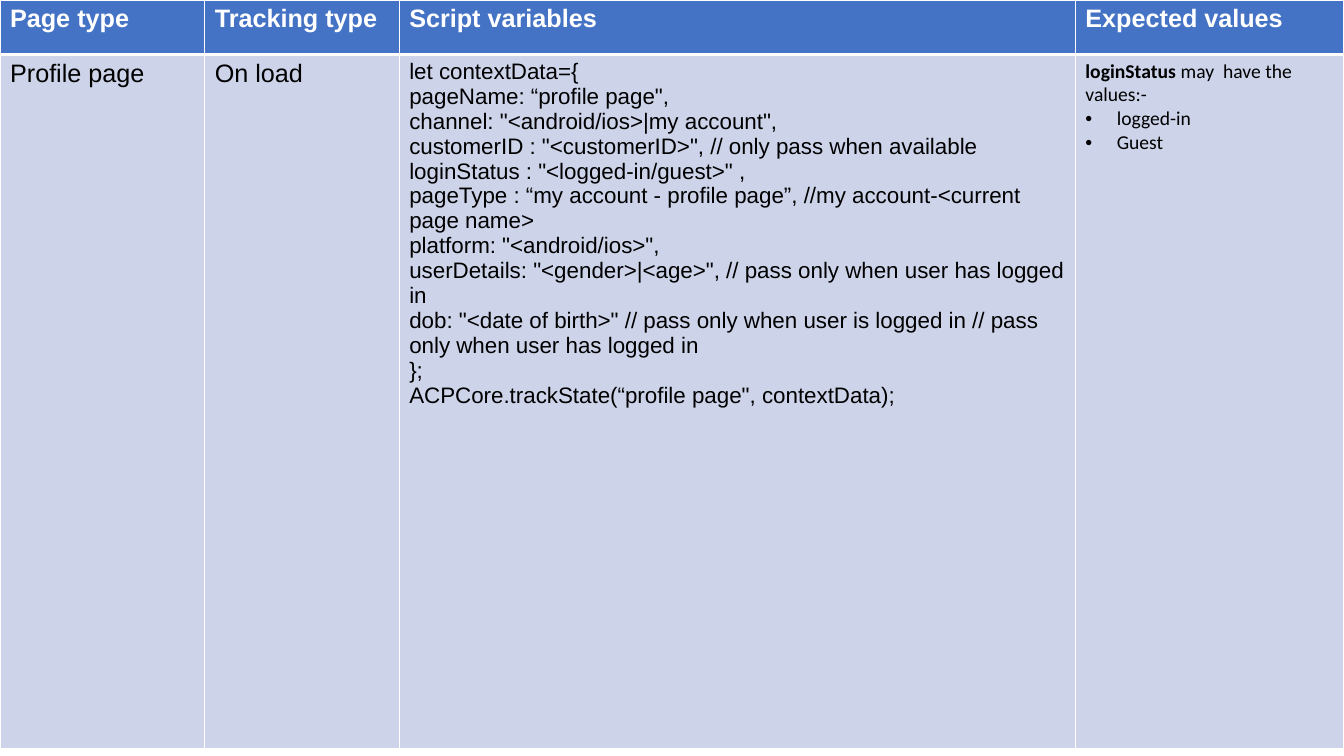
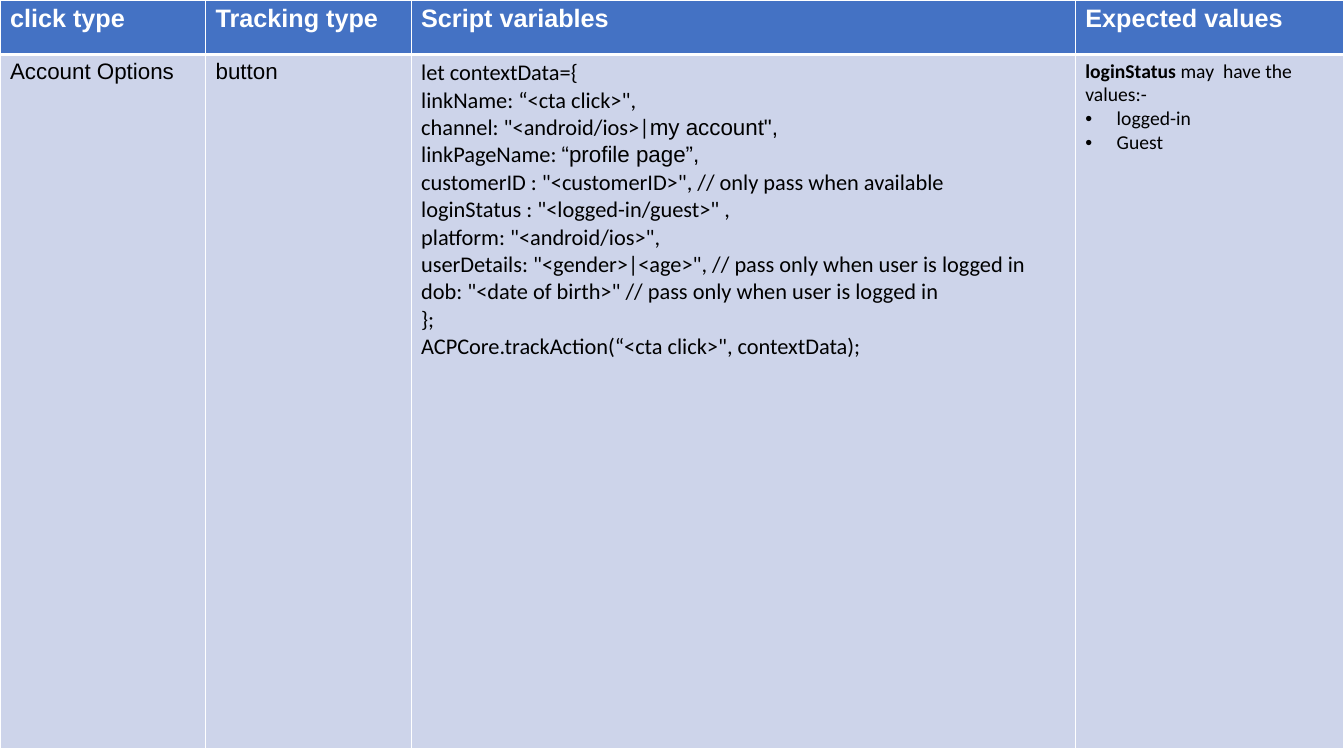
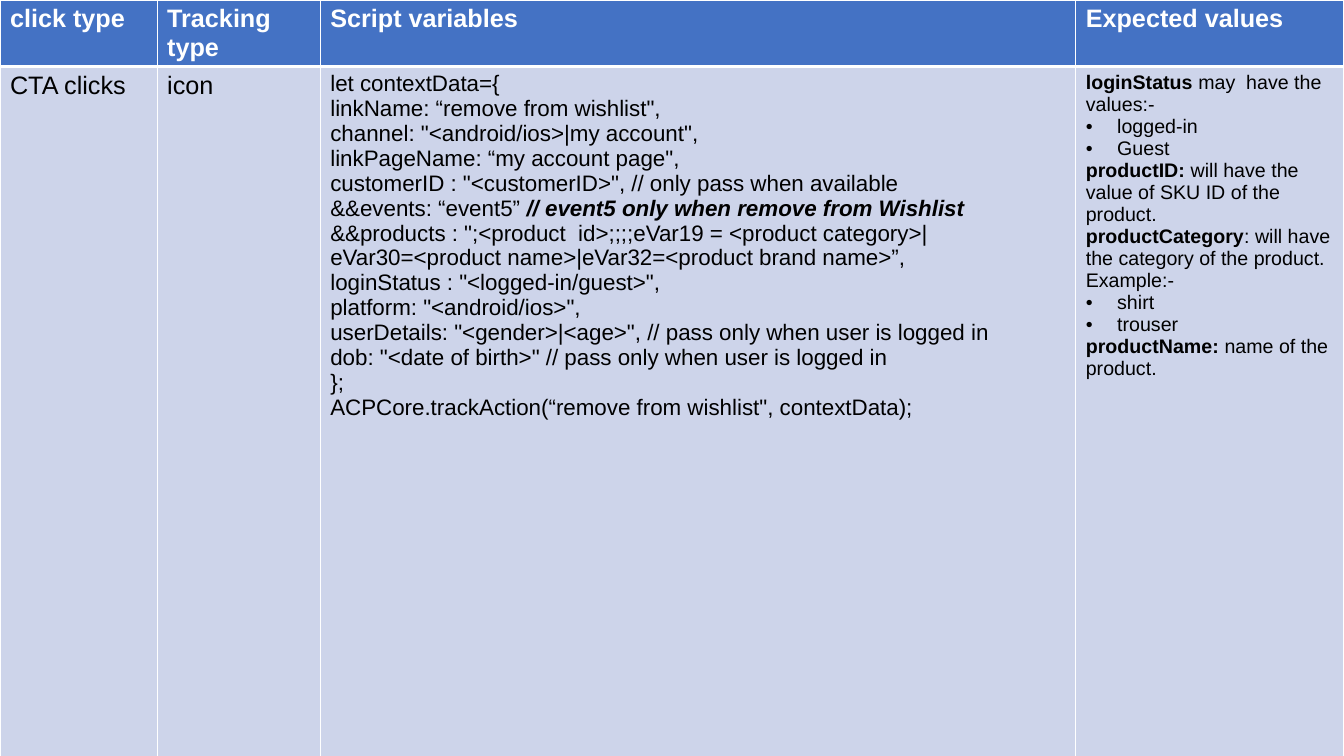
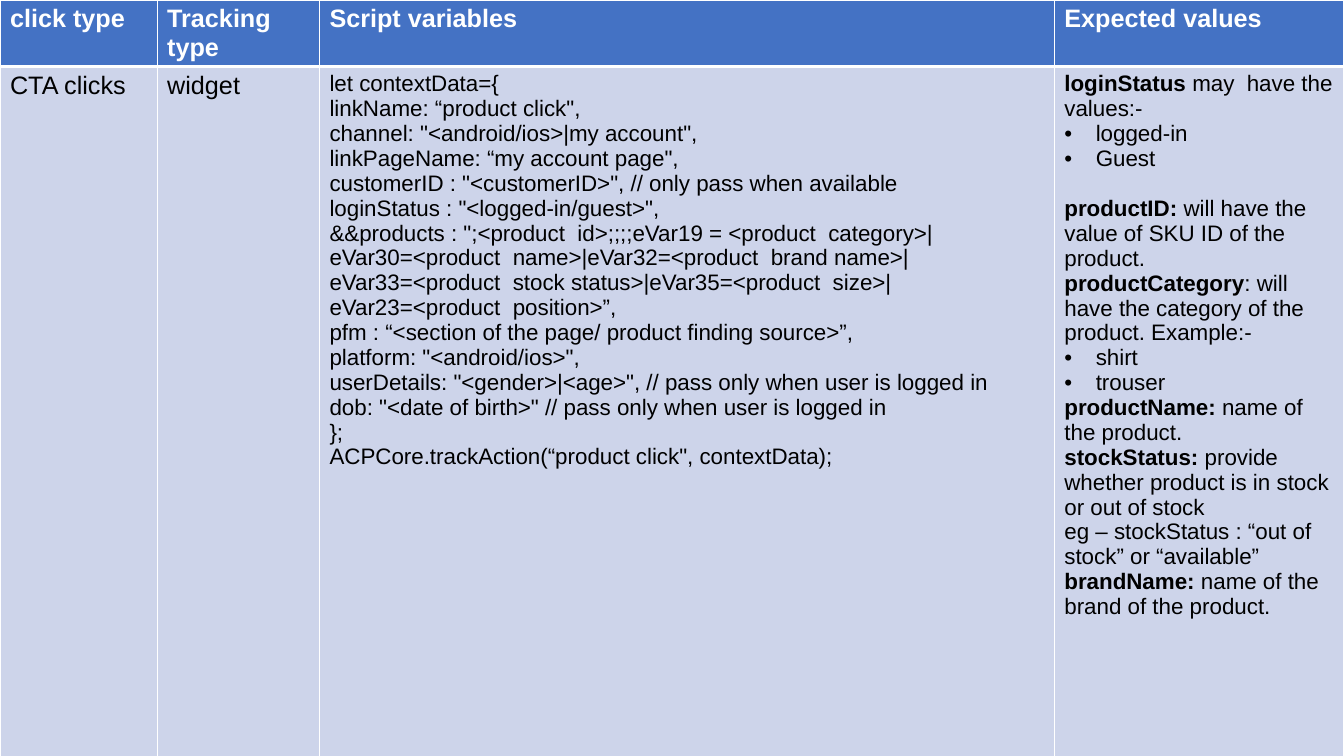
from dataclasses import dataclass

from lxml import etree
from pptx import Presentation
from pptx import util as u
from pptx.dml import color
from pptx.oxml import ns


@dataclass(frozen=True)
class Theme:
    header_fill: str = "4472C4"
    body_fill: str = "CDD4EA"
    light: str = "FFFFFF"
    dark: str = "000000"
    sans: str = "Arial"
    humanist: str = "Calibri"
    large: int = 18
    medium: int = 16
    small: int = 14
    thin: float = 1
    thick: float = 3


@dataclass(frozen=True)
class Span:
    text: str
    bold: bool = False
    italic: bool = False
    font: str = ""


@dataclass(frozen=True)
class Line:
    spans: tuple
    bullet: bool = False
    before: float = 0


@dataclass(frozen=True)
class Body:
    """Lines of one cell with their common size and font."""
    lines: list
    size: int
    font: str


THEME = Theme()
PAGE_WIDTH, PAGE_HEIGHT = 33.87, 19.05
ROW_HEIGHTS = (1.37, 17.5)
BULLET_INDENT = 0.79


class TrackingDeck:
    def __init__(self, theme):
        self.theme = theme
        self.deck = Presentation()
        self.deck.slide_width = u.Cm(PAGE_WIDTH)
        self.deck.slide_height = u.Cm(PAGE_HEIGHT)
        self.page = None

    def add_page(self):
        self.page = self.deck.slides.add_slide(self.deck.slide_layouts[6])

    def add_table(self, widths, titles, bodies):
        """Header row and one body row; the last column takes the rest."""
        widths = [*widths, PAGE_WIDTH - sum(widths)]
        frame = self.page.shapes.add_table(
            2, len(widths), 0, 0, u.Cm(PAGE_WIDTH), u.Cm(sum(ROW_HEIGHTS)))
        table = frame.table
        for column, width in zip(table.columns, widths):
            column.width = u.Cm(width)
        for row, height in zip(table.rows, ROW_HEIGHTS):
            row.height = u.Cm(height)

        theme = self.theme
        for index, (title, body) in enumerate(zip(titles, bodies)):
            heading = Body([Line((Span(title, bold=True),))], theme.large, theme.sans)
            self.fill_cell(table.cell(0, index), heading, theme.header_fill,
                           theme.light, bottom=theme.thick)
            self.fill_cell(table.cell(1, index), body, theme.body_fill,
                           theme.dark, top=theme.thick)

    def fill_cell(self, cell, body, fill, ink, top=THEME.thin, bottom=THEME.thin):
        self.add_borders(cell, top, bottom)
        cell.fill.solid()
        cell.fill.fore_color.rgb = color.RGBColor.from_string(fill)
        frame = cell.text_frame
        for index, line in enumerate(body.lines):
            para = frame.add_paragraph() if index else frame.paragraphs[0]
            if line.before:
                para.space_before = u.Pt(line.before)
            if line.bullet:
                self.add_bullet(para)
            for span in line.spans:
                self.add_span(para, span, body, ink)

    def add_span(self, para, span, body, ink):
        run = para.add_run()
        run.text = span.text
        run.font.name = span.font or body.font
        run.font.size = u.Pt(body.size)
        run.font.bold = span.bold
        run.font.italic = span.italic
        run.font.color.rgb = color.RGBColor.from_string(ink)

    def add_bullet(self, para):
        properties = para._p.get_or_add_pPr()
        properties.set("marL", str(u.Cm(BULLET_INDENT)))
        properties.set("indent", str(-u.Cm(BULLET_INDENT)))
        tint = etree.SubElement(properties, ns.qn("a:buClr"))
        etree.SubElement(tint, ns.qn("a:srgbClr"), val=self.theme.dark)
        etree.SubElement(properties, ns.qn("a:buFont"), typeface=self.theme.sans)
        etree.SubElement(properties, ns.qn("a:buChar"), char="•")

    def add_borders(self, cell, top, bottom):
        properties = cell._tc.get_or_add_tcPr()
        thin = self.theme.thin
        for side, width in (("L", thin), ("R", thin), ("T", top), ("B", bottom)):
            edge = etree.SubElement(properties, ns.qn("a:ln" + side), w=str(u.Pt(width)))
            paint = etree.SubElement(edge, ns.qn("a:solidFill"))
            etree.SubElement(paint, ns.qn("a:srgbClr"), val=self.theme.light)

    def save(self):
        self.deck.save("out.pptx")


# Shorthands for cell content
def plain(*texts):
    return [Line((Span(text),)) for text in texts]


def bullets(*texts):
    return [Line((Span(text),), bullet=True) for text in texts]


def term(name, meaning, before=0):
    return Line((Span(name, bold=True), Span(meaning)), before=before)


def label(text, size=THEME.large):
    return Body(plain(text), size, THEME.sans)


def code(lines, font=THEME.sans):
    return Body(lines, THEME.medium, font)


# Content shared by several slides
CLICK_TITLES = ("click type", "Tracking type", "Script variables", "Expected values")
PAGE_TITLES = ("Page type", *CLICK_TITLES[1:])

OPENING = "let contextData={"
CHANNEL = 'channel: "<android/ios>|my account",'
ACCOUNT_PAGE = 'linkPageName: “my account page",'
CUSTOMER = 'customerID : "<customerID>", // only pass when available'
LOGIN = 'loginStatus : "<logged-in/guest>",'
LOGIN_SPACED = 'loginStatus : "<logged-in/guest>" ,'
PLATFORM = 'platform: "<android/ios>",'
USER_TAIL = (
    PLATFORM,
    'userDetails: "<gender>|<age>", // pass only when user is logged in',
    'dob: "<date of birth>" // pass only when user is logged in',
    "};",
)

LOGIN_VALUES = [term("loginStatus ", "may  have the values:-"),
                *bullets("logged-in", "Guest")]


def product_values(before=0):
    return [
        term("productID:", " will have the value of SKU ID of the product.", before),
        term("productCategory", ": will have the category of the product. Example:-"),
        *bullets("shirt", "trouser"),
        term("productName: ", "name of the product."),
    ]


def main():
    tracking = TrackingDeck(THEME)

    # Profile page load
    tracking.add_page()
    tracking.add_table((5.16, 4.9, 17.04), PAGE_TITLES, (
        label("Profile page"),
        label("On load"),
        code(plain(
            OPENING,
            'pageName: “profile page",',
            CHANNEL,
            CUSTOMER,
            LOGIN_SPACED,
            "pageType : “my account - profile page”, //my account-<current page name>",
            PLATFORM,
            'userDetails: "<gender>|<age>", // pass only when user has logged in',
            'dob: "<date of birth>" // pass only when user is logged in'
            " // pass only when user has logged in",
            "};",
            'ACPCore.trackState(“profile page", contextData);')),
        Body(LOGIN_VALUES, THEME.small, THEME.humanist)))

    # Account option buttons
    tracking.add_page()
    tracking.add_table((5.18, 5.18, 16.74), CLICK_TITLES, (
        label("Account Options", THEME.medium),
        label("button", THEME.medium),
        code([
            *plain(OPENING, 'linkName: “<cta click>",'),
            Line((Span('channel: "<android/ios>|'),
                  Span('my account",', font=THEME.sans))),
            Line((Span("linkPageName: "),
                  Span("“profile page”,", font=THEME.sans))),
            *plain(CUSTOMER, LOGIN_SPACED, *USER_TAIL,
                   'ACPCore.trackAction(“<cta click>", contextData);'),
        ], THEME.humanist),
        Body(LOGIN_VALUES, THEME.small, THEME.humanist)))

    # Wishlist icon
    tracking.add_page()
    tracking.add_table((3.96, 4.11, 19.04), CLICK_TITLES, (
        label("CTA clicks"),
        label("icon"),
        code([
            *plain(OPENING, 'linkName: “remove from wishlist",', CHANNEL,
                   ACCOUNT_PAGE, CUSTOMER),
            Line((Span("&&events: “event5” "),
                  Span("// event5 only when remove from Wishlist",
                       bold=True, italic=True))),
            *plain('&&products : ";<product  id>;;;;eVar19 = <product category>|'
                   "eVar30=<product name>|eVar32=<product brand name>”,",
                   LOGIN, *USER_TAIL,
                   'ACPCore.trackAction(“remove from wishlist", contextData);'),
        ]),
        Body(LOGIN_VALUES + product_values(), THEME.small, THEME.sans)))

    # Product widget
    tracking.add_page()
    tracking.add_table((3.96, 4.09, 18.52), CLICK_TITLES, (
        label("CTA clicks"),
        label("widget"),
        code(plain(
            OPENING,
            'linkName: “product click",',
            CHANNEL,
            ACCOUNT_PAGE,
            CUSTOMER,
            LOGIN,
            '&&products : ";<product  id>;;;;eVar19 = <product  category>|'
            "eVar30=<product  name>|eVar32=<product  brand name>|"
            "eVar33=<product  stock status>|eVar35=<product  size>|"
            "eVar23=<product  position>”,",
            "pfm : “<section of the page/ product finding source>”,",
            *USER_TAIL,
            'ACPCore.trackAction(“product click", contextData);')),
        Body([
            *LOGIN_VALUES,
            *product_values(before=18),
            term("stockStatus: ", "provide whether product is in stock or out of stock"),
            *plain("eg – stockStatus : “out of stock” or “available”"),
            term("brandName: ", "name of the brand of the product."),
        ], THEME.medium, THEME.sans)))

    tracking.save()


if __name__ == "__main__":
    main()
